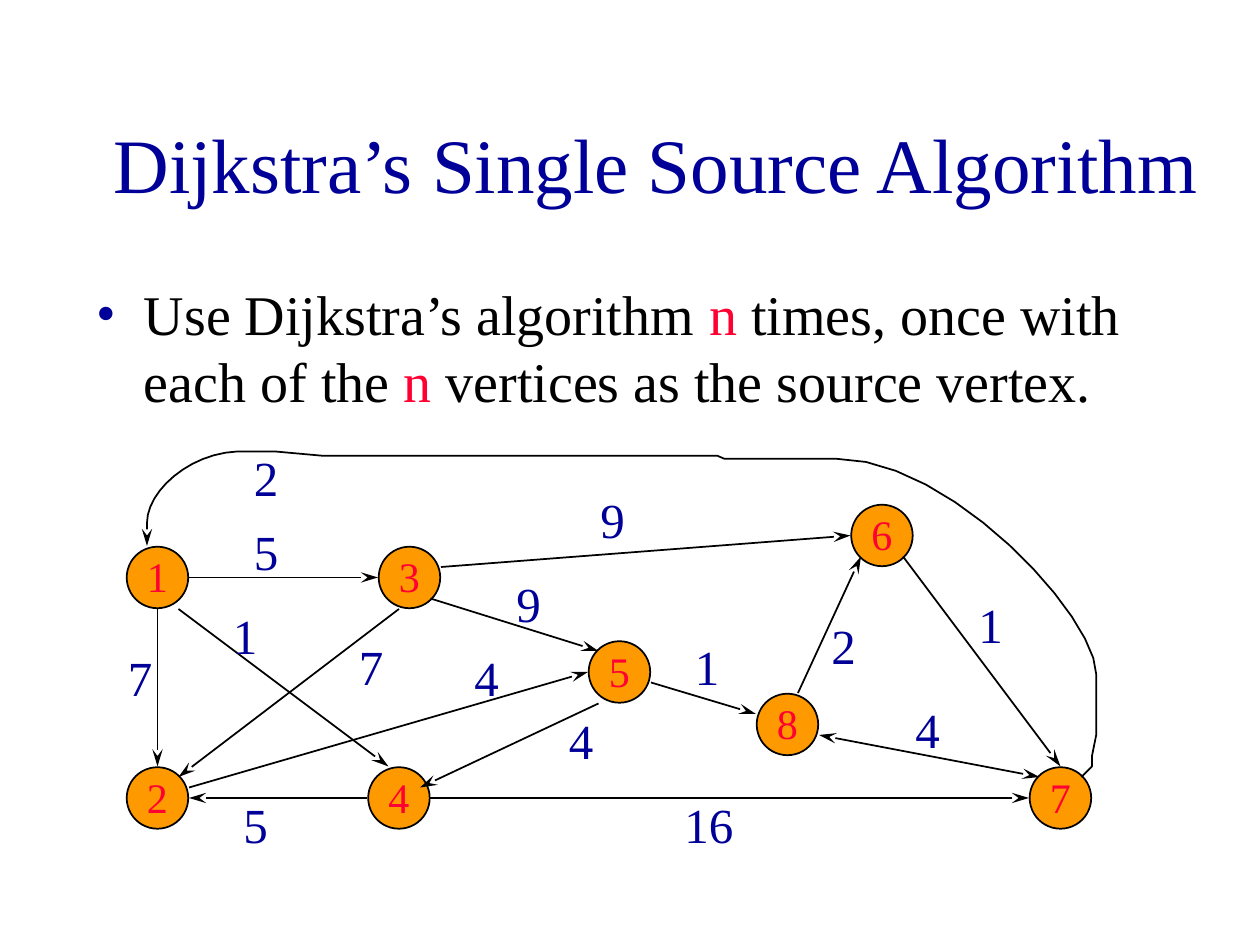
from lxml import etree
from pptx import Presentation
from pptx import util as u
from pptx.dml.color import RGBColor
from pptx.enum import shapes, text
from pptx.oxml.ns import qn

NAVY = RGBColor(0x00, 0x00, 0x99)
RED = RGBColor(0xFF, 0x00, 0x33)
ORANGE = RGBColor(0xFF, 0x99, 0x00)
BLACK = RGBColor(0x00, 0x00, 0x00)
FONT = "Times New Roman"
GRID = 2.54 / 12
RADIUS = 0.62
BEND_STEPS = 12


def style(span, size, color):
    span.font.name = FONT
    span.font.size = u.Pt(size)
    span.font.color.rgb = color


def draw_arrow(item, ends):
    item.line.color.rgb = BLACK
    item.line.width = u.Pt(1)
    properties = item._element.spPr
    for end in ends:
        etree.SubElement(
            properties.find(qn("a:ln")), qn(f"a:{end}"), type="stealth", w="med", len="lg"
        )
    etree.SubElement(properties, qn("a:effectLst"))


deck = Presentation()
deck.slide_width = u.Cm(25.4)
deck.slide_height = u.Cm(19.05)
page = deck.slides.add_slide(deck.slide_layouts[6])

title = page.shapes.add_textbox(u.Cm(1.9), u.Cm(1.7), u.Cm(22.66), u.Cm(3.18))
title.text_frame.word_wrap = True
title.text_frame.vertical_anchor = text.MSO_ANCHOR.MIDDLE
para = title.text_frame.paragraphs[0]
para.text = "Dijkstra’s Single Source Algorithm"
para.alignment = text.PP_ALIGN.CENTER
style(para.runs[0], 44, NAVY)

body = page.shapes.add_textbox(u.Cm(1.7), u.Cm(5.51), u.Cm(22.43), u.Cm(3.18))
body.text_frame.word_wrap = True
para = body.text_frame.paragraphs[0]
para.space_before = u.Pt(8)
for words, color in [
    ("Use Dijkstra’s algorithm ", BLACK),
    ("n ", RED),
    ("times, once with each of the ", BLACK),
    ("n ", RED),
    ("vertices as the source vertex.", BLACK),
]:
    span = para.add_run()
    span.text = words
    style(span, 32, color)
indent = u.Cm(0.95)
layout = para._p.get_or_add_pPr()
layout.set("marL", str(indent))
layout.set("indent", str(-indent))
bullet_color = etree.SubElement(layout, qn("a:buClr"))
etree.SubElement(bullet_color, qn("a:srgbClr"), val=str(NAVY))
etree.SubElement(layout, qn("a:buFont"), typeface=FONT)
etree.SubElement(layout, qn("a:buChar"), char="•")

vertices = {
    "1": (15, 55), "2": (15, 76), "3": (39, 55), "4": (38, 76),
    "5": (59, 64), "6": (84, 51), "7": (101, 76), "8": (75, 69),
}
for name, (x, y) in vertices.items():
    vertex = page.shapes.add_shape(
        shapes.MSO_SHAPE.OVAL,
        u.Cm(x * GRID - RADIUS), u.Cm(y * GRID - RADIUS),
        u.Cm(2 * RADIUS), u.Cm(2 * RADIUS),
    )
    vertex.shadow.inherit = False
    vertex.fill.solid()
    vertex.fill.fore_color.rgb = ORANGE
    vertex.line.color.rgb = BLACK
    vertex.line.width = u.Pt(1)
    frame = vertex.text_frame
    frame.margin_left = frame.margin_right = frame.margin_top = 0
    frame.margin_bottom = u.Cm(0.07)
    frame.word_wrap = False
    frame.vertical_anchor = text.MSO_ANCHOR.MIDDLE
    frame.text = name
    frame.paragraphs[0].alignment = text.PP_ALIGN.CENTER
    style(frame.paragraphs[0].runs[0], 24, RED)

one_way = ["tailEnd"]
both_ways = ["headEnd", "tailEnd"]
edges = [
    ("1", "2", (0, 3), (0, -3), one_way),
    ("4", "2", (-3, 0), (3, 0), one_way),
    ("1", "3", (3, 0), (-3, 0), one_way),
    ("1", "4", (2, 3), (-1, -3), one_way),
    ("3", "2", (-1, 3), (2, -2), one_way),
    ("3", "5", (2, 2), (-2, -2), one_way),
    ("2", "5", (3, -1), (-3, 0), one_way),
    ("5", "4", (-2, 3), (2, -1), one_way),
    ("4", "7", (3, 0), (-3, 0), one_way),
    ("5", "8", (3, 1), (-3, -1), one_way),
    ("3", "6", (3, -1), (-3, 0), one_way),
    ("6", "7", (2, 2), (0, -3), one_way),
    ("8", "7", (3, 1), (-2, -2), both_ways),
    ("8", "6", (1, -3), (-2, 2), one_way),
]
for source, target, leave, arrive, arrows in edges:
    ends = [
        u.Cm((center + offset) * GRID)
        for name, shift in [(source, leave), (target, arrive)]
        for center, offset in zip(vertices[name], shift)
    ]
    edge = page.shapes.add_connector(shapes.MSO_CONNECTOR.STRAIGHT, *ends)
    draw_arrow(edge, arrows)

leave_seven = [(103, 74), (104, 73), (104, 72), (104.4, 70)]
right_bend = [(104.4, 64.2), (104.4, 58.8), (90.6, 43.7), (79.7, 43.7)]
top_side = [(69, 43.7), (68.3, 43.4), (30.6, 43.4), (26.2, 43)]
left_bend = [(22.6, 43), (18, 43.2), (14, 46.8), (14, 49.8)]
enter_one = [(14, 52)]

bends = []
for controls in (right_bend, left_bend):
    bend = []
    for step in range(BEND_STEPS + 1):
        t = step / BEND_STEPS
        shares = [(1 - t) ** 3, 3 * t * (1 - t) ** 2, 3 * t ** 2 * (1 - t), t ** 3]
        bend.append([
            sum(share * value for share, value in zip(shares, values))
            for values in zip(*controls)
        ])
    bends.append(bend)
route = leave_seven + bends[0] + top_side + bends[1] + enter_one
start, *rest = [(u.Cm(x * GRID), u.Cm(y * GRID)) for x, y in route]
builder = page.shapes.build_freeform(*start)
builder.add_line_segments(rest, close=False)
loop = builder.convert_to_shape()
loop.fill.background()
draw_arrow(loop, one_way)

weight_places = {
    "1": [(21, 57), (65, 60), (92, 56)],
    "2": [(23, 42), (78, 58)],
    "4": [(44, 61), (53, 67), (86, 66)],
    "5": [(23, 49), (22, 75)],
    "7": [(11, 61), (33, 60)],
    "9": [(56, 46), (48, 54)],
    "16": [(64, 75)],
}
for weight, places in weight_places.items():
    for x, y in places:
        box = page.shapes.add_textbox(
            u.Cm(x * GRID), u.Cm(y * GRID), u.Cm(5 * len(weight) * GRID), u.Cm(1.45)
        )
        box.text_frame.word_wrap = True
        box.text_frame.vertical_anchor = text.MSO_ANCHOR.MIDDLE
        box.text_frame.text = weight
        style(box.text_frame.paragraphs[0].runs[0], 28, NAVY)

deck.save("out.pptx")
